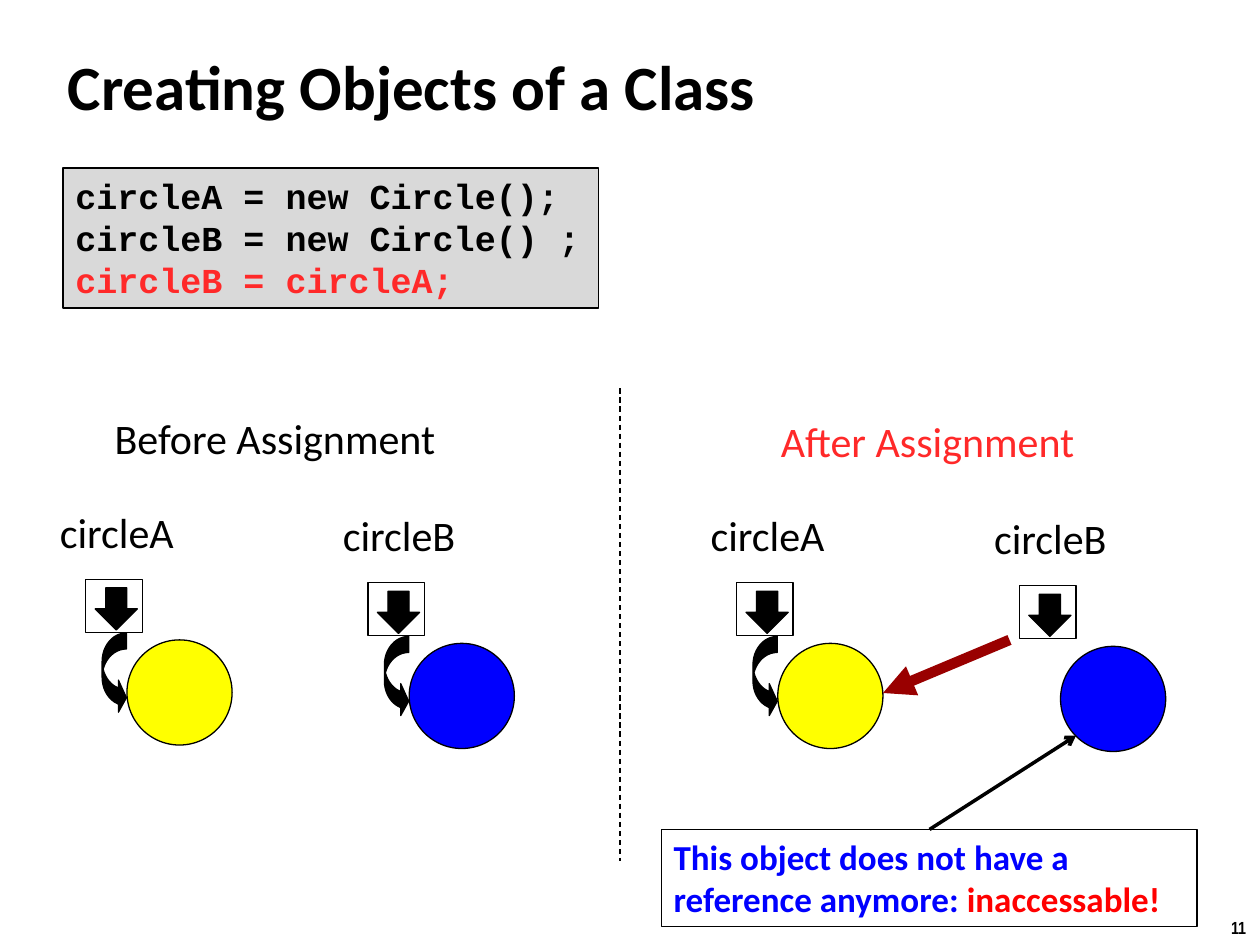
from lxml import etree
from pptx import Presentation
from pptx.dml.color import RGBColor
from pptx.enum import dml, shapes, text
from pptx.oxml import ns
from pptx.util import Cm, Pt

BLACK = RGBColor(0x00, 0x00, 0x00)
WHITE = RGBColor(0xFF, 0xFF, 0xFF)
GREY = RGBColor(0xD9, 0xD9, 0xD9)
YELLOW = RGBColor(0xFF, 0xFF, 0x00)
BLUE = RGBColor(0x00, 0x00, 0xFF)
RED = RGBColor(0xFF, 0x00, 0x00)
CORAL = RGBColor(0xFF, 0x29, 0x29)
DARK_RED = RGBColor(0x99, 0x00, 0x00)

SHAPE = shapes.MSO_SHAPE
LEFT = text.PP_ALIGN.LEFT
CENTER = text.PP_ALIGN.CENTER


def place(shape, left, top, width, height):
    shape.left, shape.top = Cm(left), Cm(top)
    shape.width, shape.height = Cm(width), Cm(height)


def write(shape, paragraphs, font="Calibri", size=24, bold=False, align=CENTER,
          anchor=text.MSO_ANCHOR.TOP, wrap=True):
    frame = shape.text_frame
    frame.word_wrap = wrap
    frame.vertical_anchor = anchor
    for index, runs in enumerate(paragraphs):
        paragraph = frame.add_paragraph() if index else frame.paragraphs[0]
        paragraph.alignment = align
        for wording, color in runs:
            run = paragraph.add_run()
            run.text = wording
            run.font.name = font
            run.font.size = Pt(size)
            run.font.bold = bold
            run.font.color.rgb = color


def add_title(slide, wording):
    title = slide.shapes.title
    place(title, 1.27, 0.2, 23.06, 3.02)
    frame = title.text_frame
    frame.margin_left = frame.margin_right = Cm(0.1)
    frame.margin_top = frame.margin_bottom = Cm(0.1)
    write(title, [[(wording, BLACK)]], size=36, bold=True, align=LEFT,
          anchor=text.MSO_ANCHOR.MIDDLE)


def add_label(slide, wording, left, top, width, height=1.28, color=BLACK, **style):
    label = slide.shapes.add_textbox(Cm(left), Cm(top), Cm(width), Cm(height))
    write(label, [[(wording, color)]], wrap=False, **style)


def add_figure(slide, kind, left, top, width, height, fill):
    figure = slide.shapes.add_shape(kind, Cm(left), Cm(top), Cm(width), Cm(height))
    figure.shadow.inherit = False
    figure.fill.solid()
    figure.fill.fore_color.rgb = fill
    figure.line.color.rgb = BLACK
    figure.line.width = Pt(0.75)
    return figure


def add_line(slide, start, end, color=BLACK, width=0.75, dash=None, head=None):
    line = slide.shapes.add_connector(
        shapes.MSO_CONNECTOR.STRAIGHT, *map(Cm, start), *map(Cm, end))
    line.line.color.rgb = color
    line.line.width = Pt(width)
    if dash:
        line.line.dash_style = dash
    if head:
        etree.SubElement(line.line._get_or_add_ln(), ns.qn("a:tailEnd"), type=head)
    etree.SubElement(line._element.spPr, ns.qn("a:effectLst"))


def add_reference(slide, name, left, top, color, linked=True):
    add_figure(slide, SHAPE.RECTANGLE, left, top, 1.14, 1.07, WHITE)
    if linked:
        curve = add_figure(slide, SHAPE.CURVED_RIGHT_ARROW,
                           left + 0.33, top + 1.08, 0.49, 1.63, BLACK)
        for index, value in enumerate((0.66, 1.32, 0.33)):
            curve.adjustments[index] = value
    add_figure(slide, SHAPE.OVAL, left + 0.83, top + 1.22, 2.12, 2.12, color)
    add_figure(slide, SHAPE.DOWN_ARROW, left + 0.19, top + 0.17, 0.85, 0.85, BLACK)
    add_label(slide, name, left - 0.8, top - 1.6, 2.85)


def main():
    presentation = Presentation()
    presentation.slide_width, presentation.slide_height = Cm(25.4), Cm(19.05)
    slide = presentation.slides.add_slide(presentation.slide_layouts[5])

    add_title(slide, "Creating Objects of a Class")
    add_label(slide, "11", 24.54, 18.36, 0.86, 0.69,
              font="Arial Narrow", size=10, bold=True)

    code = add_figure(slide, SHAPE.RECTANGLE, 1.27, 3.39, 10.8, 2.82, GREY)
    write(code, [[("circleA = new Circle();", BLACK)],
                 [("circleB = new Circle() ;", BLACK)],
                 [("circleB = circleA;", CORAL)]],
          font="Courier New", size=20, bold=True, align=LEFT)

    add_label(slide, "Before Assignment", 2, 8.2, 7.09)
    add_label(slide, "After Assignment", 15.45, 8.26, 6.5, color=CORAL)
    add_line(slide, (12.5, 7.83), (12.5, 17.35), dash=dml.MSO_LINE.DASH)

    add_reference(slide, "circleA", 1.73, 11.68, YELLOW)
    add_reference(slide, "circleB", 7.42, 11.75, BLUE)
    add_reference(slide, "circleA", 14.85, 11.75, YELLOW)
    add_reference(slide, "circleB", 20.55, 11.81, BLUE, linked=False)
    add_line(slide, (20.35, 12.9), (17.8, 13.97), DARK_RED, 6, head="triangle")

    note = add_figure(slide, SHAPE.RECTANGLE, 13.33, 16.72, 10.8, 1.96, WHITE)
    write(note, [[("This object does not have a reference anymore: ", BLUE),
                  ("inaccessable!", RED)]], size=20, bold=True, align=LEFT)
    add_line(slide, (18.74, 16.72), (21.69, 14.83), width=2, head="arrow")

    presentation.save("out.pptx")


if __name__ == "__main__":
    main()
